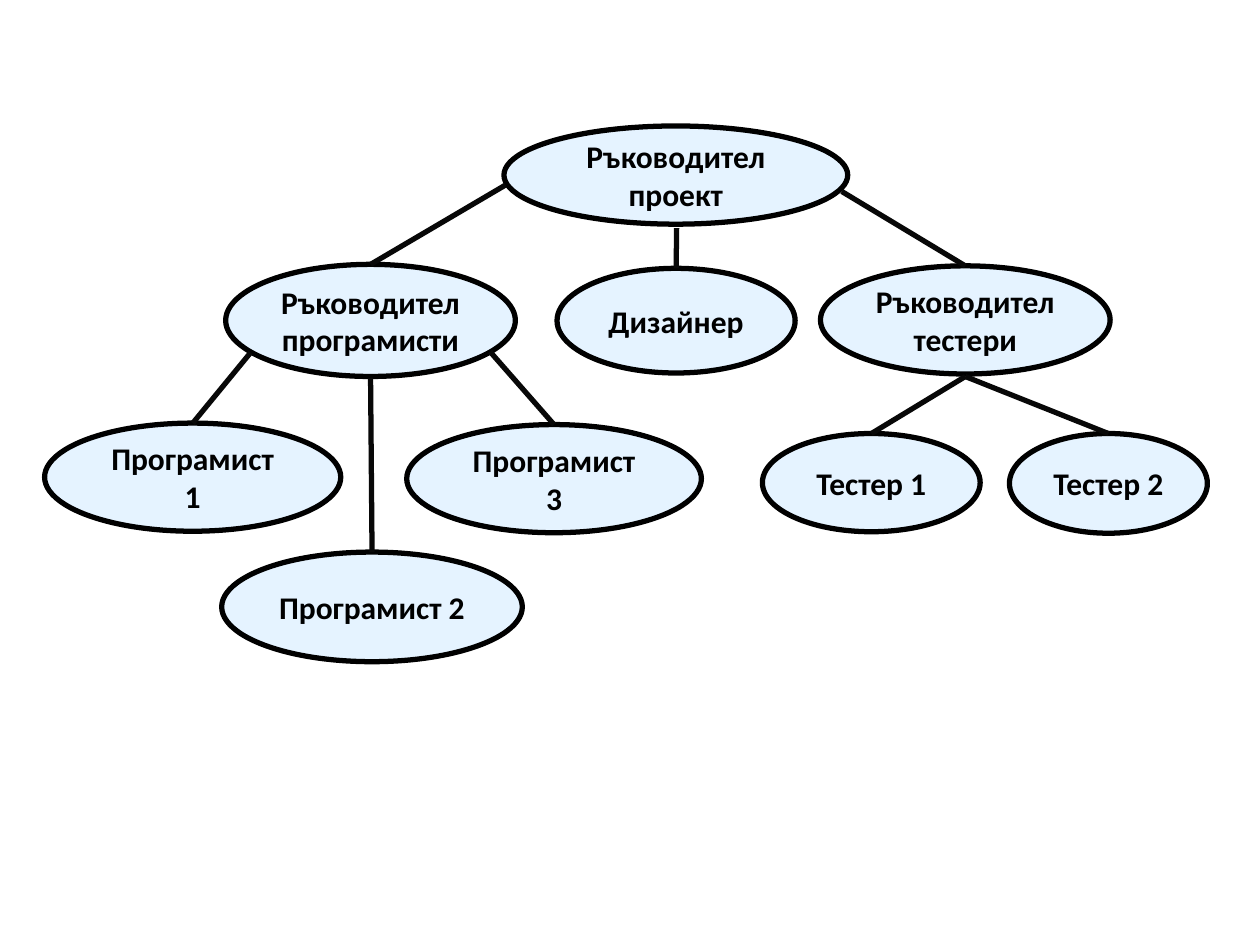
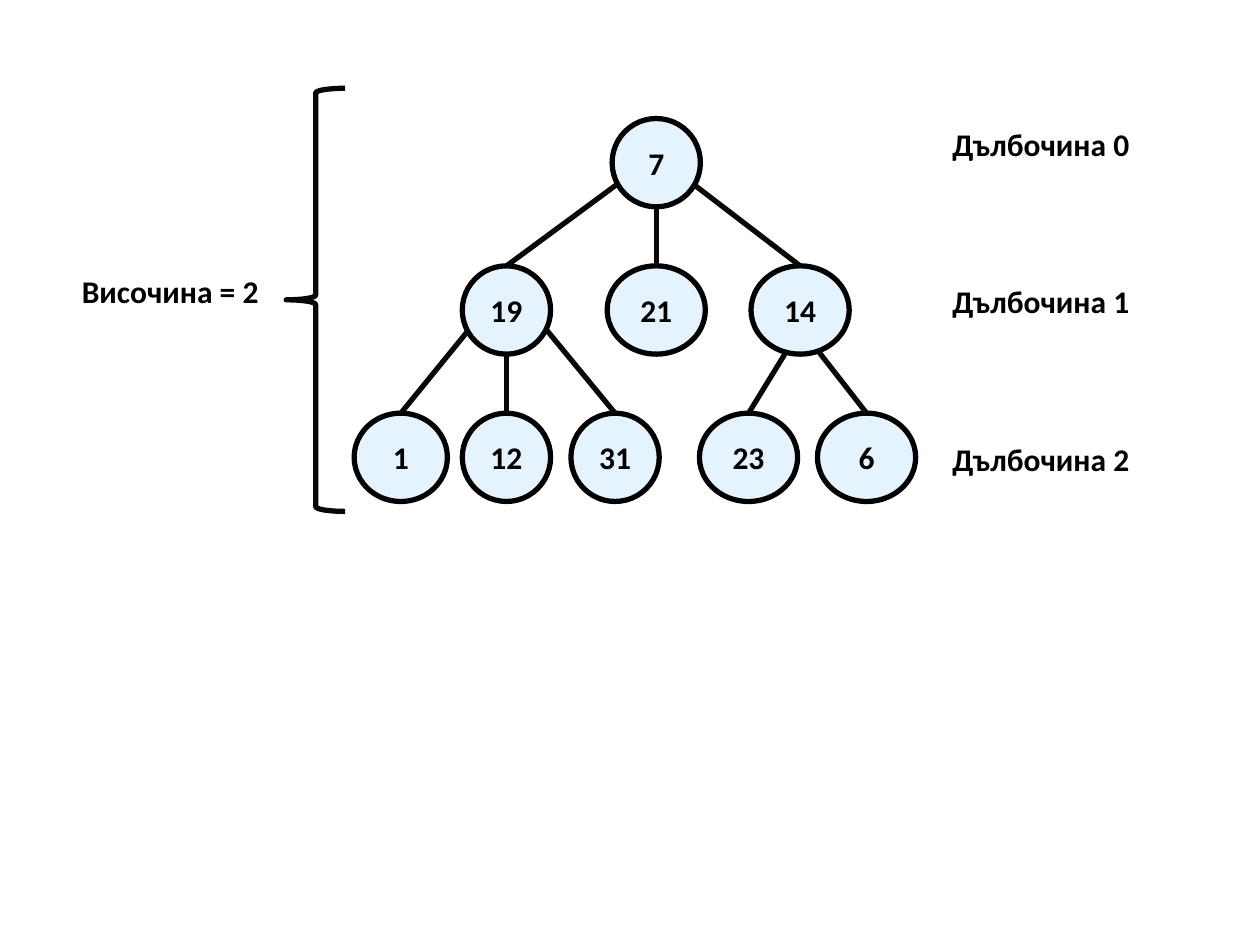
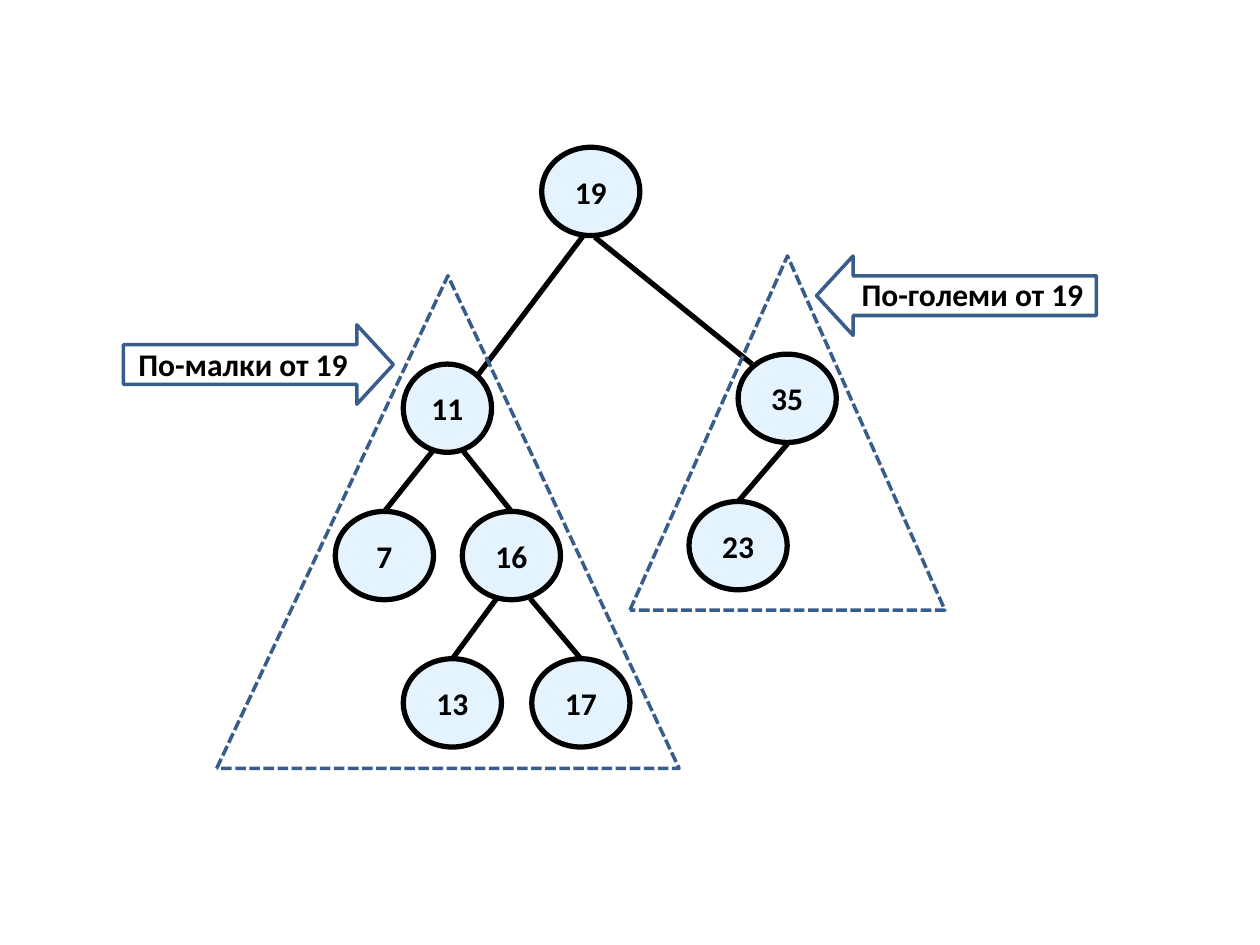
from dataclasses import dataclass
from typing import NamedTuple, Optional

import lxml.etree
import pptx
import pptx.dml.color
import pptx.enum.dml
import pptx.enum.shapes
import pptx.enum.text
import pptx.oxml.ns
import pptx.util

Cm = pptx.util.Cm
MSO = pptx.enum.shapes.MSO_SHAPE
ALIGN = pptx.enum.text.PP_ALIGN

COLORS = {"node": "E5F3FF", "ink": "000000", "edge": "080808", "outline": "385D8A"}
FONT = {"name": "Calibri", "size": pptx.util.Pt(18), "bold": True}
LABEL_H = 1.02
LEVEL_TOP, LEVEL_STEP = 2.39, 2.97
DEPTH_STEP = 3.18


class Point(NamedTuple):
    x: float
    y: float


@dataclass
class Node:
    """An ellipse; its edge runs from start on the parent to its top, or to end."""
    text: str
    x: float
    y: float
    w: float = 1.98
    h: float = 1.78
    start: Optional[Point] = None
    end: Optional[Point] = None


class Label(NamedTuple):
    text: str
    x: float
    y: float
    w: float
    wrap: bool = True


class Outline(NamedTuple):
    kind: MSO
    x: float
    y: float
    w: float
    h: float
    color: str = "outline"
    width: float = 2
    adjustments: tuple = ()
    dashed: bool = False
    rotation: int = 0


def rgb(name: str) -> pptx.dml.color.RGBColor:
    return pptx.dml.color.RGBColor.from_string(COLORS[name])


def set_line(line, color: str, width: float) -> None:
    line.color.rgb = rgb(color)
    line.width = pptx.util.Pt(width)


def write(tf, text: str, align) -> None:
    p = tf.paragraphs[0]
    p.alignment = align
    r = p.add_run()
    r.text = text
    for key, value in FONT.items():
        setattr(r.font, key, value)
    r.font.color.rgb = rgb("ink")


def add_node(s, node: Node):
    sp = s.shapes.add_shape(MSO.OVAL, Cm(node.x), Cm(node.y), Cm(node.w), Cm(node.h))
    sp.shadow.inherit = False
    sp.fill.solid()
    sp.fill.fore_color.rgb = rgb("node")
    set_line(sp.line, "ink", 3)
    sp.text_frame.vertical_anchor = pptx.enum.text.MSO_ANCHOR.MIDDLE
    write(sp.text_frame, node.text, ALIGN.CENTER)
    return sp


def add_edge(s, node: Node, sp, color: str) -> None:
    end = node.end or Point(node.x + node.w / 2, node.y)
    line = s.shapes.add_connector(pptx.enum.shapes.MSO_CONNECTOR.STRAIGHT,
                                  *map(Cm, node.start), *map(Cm, end))
    if node.end is None:
        line.end_connect(sp, 0)
    set_line(line.line, color, 3)
    lxml.etree.SubElement(line._element.spPr, pptx.oxml.ns.qn("a:effectLst"))


def add_tree(s, nodes: list[Node], color: str) -> None:
    shapes = [add_node(s, node) for node in nodes]
    for node, sp in zip(nodes, shapes):
        if node.start:
            add_edge(s, node, sp, color)


def add_label(s, label: Label) -> None:
    tf = s.shapes.add_textbox(Cm(label.x), Cm(label.y), Cm(label.w), Cm(LABEL_H)).text_frame
    tf.word_wrap = label.wrap
    tf.auto_size = pptx.enum.text.MSO_AUTO_SIZE.SHAPE_TO_FIT_TEXT
    write(tf, label.text, ALIGN.LEFT)


def add_outline(s, o: Outline) -> None:
    sp = s.shapes.add_shape(o.kind, Cm(o.x), Cm(o.y), Cm(o.w), Cm(o.h))
    sp.shadow.inherit = False
    sp.fill.background()
    set_line(sp.line, o.color, o.width)
    if o.dashed:
        sp.line.dash_style = pptx.enum.dml.MSO_LINE.SQUARE_DOT
    for i, value in enumerate(o.adjustments):
        sp.adjustments[i] = value
    sp.rotation = o.rotation


def level(depth: int) -> float:
    """Top of the nodes at a depth of the number tree."""
    return LEVEL_TOP + depth * LEVEL_STEP


def project_team(s) -> None:
    testers_lead = Point(19.46, 7.59)
    add_tree(s, [
        Node("Ръководител проект", 10.16, 2.54, 6.93, 1.98),
        Node("Ръководител програмисти", 4.55, 5.33, 5.84, 2.26, Point(10.19, 3.73)),
        Node("Дизайнер", 11.23, 5.41, 4.8, 2.11, Point(13.64, 4.6)),
        Node("Ръководител тестери", 16.54, 5.36, 5.84, 2.18, Point(16.97, 3.86)),
        Node("Програмист 1", 0.9, 8.53, 5.97, 2.18, Point(5.05, 7.11)),
        Node("Програмист 2", 4.47, 11.13, 6.06, 2.21, Point(7.47, 7.62)),
        Node("Програмист 3", 8.2, 8.56, 5.94, 2.18, Point(9.88, 7.09)),
        Node("Тестер 1", 15.37, 8.74, 4.39, 1.98, testers_lead),
        Node("Тестер 2", 20.35, 8.74, 3.99, 2.01, testers_lead),
    ], "edge")


def tree_depth(s) -> None:
    add_tree(s, [
        Node("7", 12.34, level(0), 1.78),
        Node("19", 9.32, level(1), 1.78, start=Point(12.42, 3.73)),
        Node("21", 12.24, level(1), start=Point(13.23, 4.22)),
        Node("14", 15.14, level(1), start=Point(14, 3.73)),
        Node("1", 7.14, level(2), 1.88, start=Point(9.45, 6.65)),
        Node("12", 9.32, level(2), 1.78, start=Point(10.21, 7.16)),
        Node("31", 11.51, level(2), 1.78, start=Point(11, 6.63)),
        Node("23", 14.1, level(2), start=Point(15.82, 7.14)),
        Node("6", 16.48, level(2), start=Point(16.48, 7.06)),
    ], "edge")
    add_outline(s, Outline(MSO.LEFT_BRACE, 5.77, 1.78, 1.19, 8.53, "edge", 3, (0.08, 0.5)))
    add_label(s, Label("Височина = 2", 1.4, 5.36, 4.57))
    for depth in range(3):
        add_label(s, Label(f"Дълбочина {depth}", 18.95, LEVEL_TOP + depth * DEPTH_STEP, 4.57))


def search_tree(s) -> None:
    add_tree(s, [
        Node("19", 10.92, 2.97),
        Node("11", 8.13, 7.34, 1.78, start=Point(11.76, 4.75), end=Point(9.65, 7.54)),
        Node("35", 14.88, 7.14, start=Point(11.99, 4.78), end=Point(15.16, 7.34)),
        Node("23", 13.89, 10.11, start=Point(15.88, 8.94)),
        Node("7", 6.76, 10.31, start=Point(8.74, 9.07)),
        Node("16", 9.32, 10.31, start=Point(9.32, 9.07)),
        Node("13", 8.13, 13.28, start=Point(10.03, 12.04)),
        Node("17", 10.72, 13.28, start=Point(10.69, 12.07)),
    ], "ink")
    arrow_head = (0.5, 0.46)
    for outline in (
        Outline(MSO.ISOSCELES_TRIANGLE, 4.37, 5.56, 9.32, 9.93, dashed=True),
        Outline(MSO.ISOSCELES_TRIANGLE, 12.7, 5.16, 6.35, 7.14, dashed=True),
        Outline(MSO.RIGHT_ARROW, 16.46, 5.16, 5.64, 1.6, adjustments=arrow_head, rotation=180),
        Outline(MSO.RIGHT_ARROW, 2.49, 6.55, 5.44, 1.6, adjustments=arrow_head),
    ):
        add_outline(s, outline)
    add_label(s, Label("По-малки от 19", 2.54, 6.83, 4.85, wrap=False))
    add_label(s, Label("По-големи от 19", 17.12, 5.41, 5.05, wrap=False))


def main() -> None:
    prs = pptx.Presentation()
    prs.slide_width, prs.slide_height = Cm(25.4), Cm(19.05)
    blank = prs.slide_layouts[6]
    for draw in (project_team, tree_depth, search_tree):
        draw(prs.slides.add_slide(blank))
    prs.save("out.pptx")


if __name__ == "__main__":
    main()
